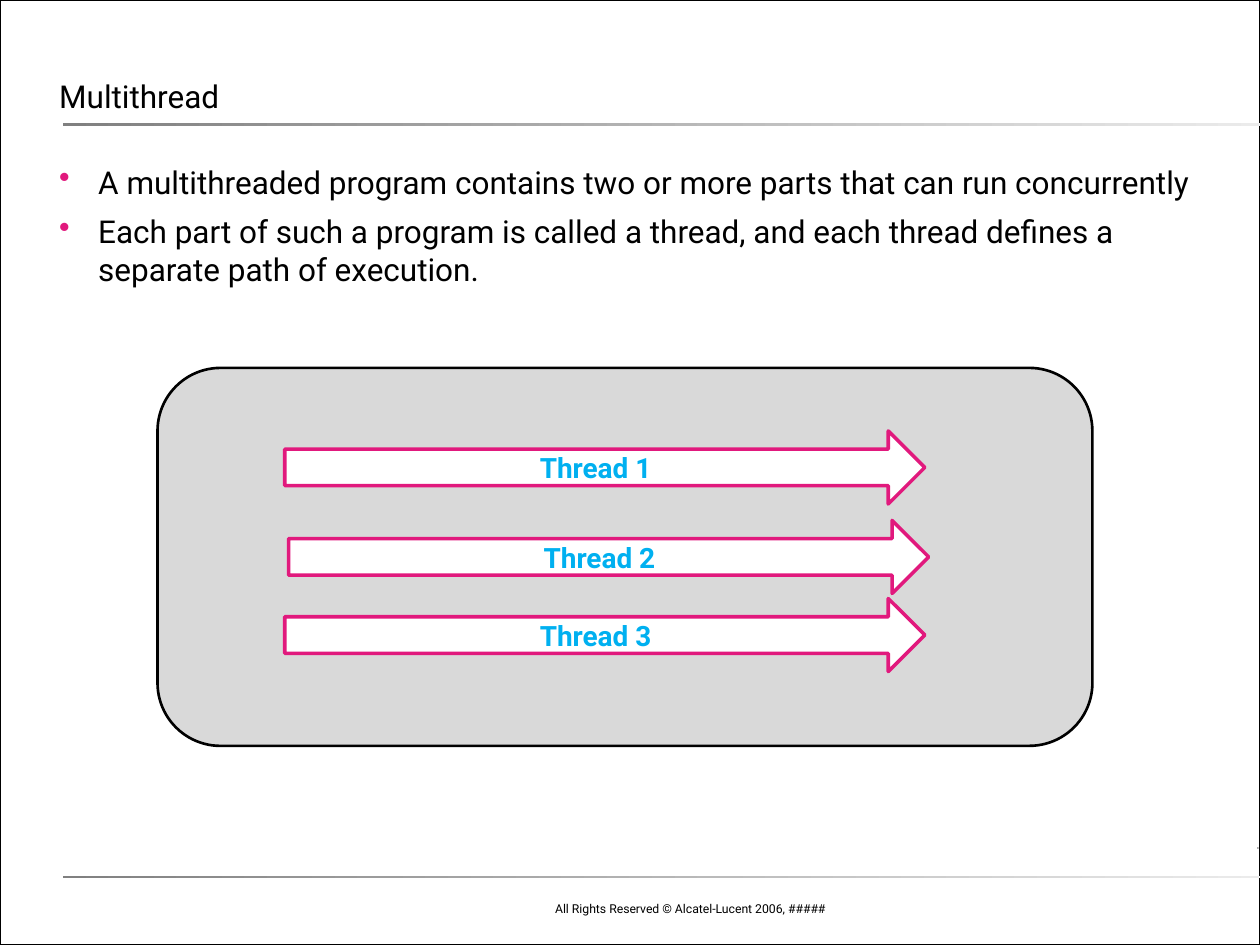
from lxml.etree import SubElement
from pptx import Presentation
from pptx.dml.color import RGBColor as RGB
from pptx.enum.shapes import MSO_SHAPE as Shape
from pptx.enum.text import MSO_ANCHOR as Anchor, PP_ALIGN as Align
from pptx.oxml.ns import qn
from pptx.util import Inches, Pt

COLORS = {"black": "000000", "white": "FFFFFF", "gray": "D9D9D9", "pink": "E1197D",
          "blue": "00B0F0", "dark": "808080", "pale": "EBEBEB", "mist": "D7D7D7"}
FONT = "Roboto"
POINTS = [
    "A multithreaded program contains two or more parts that can run concurrently",
    "Each part of such a program is called a thread, and each thread defines a "
    "separate path of execution.",
]
THREADS = [("Thread 1", 2.26, 3.42), ("Thread 2", 2.29, 4.13), ("Thread 3", 2.26, 4.75)]


def color(name):
    """Return the named colour."""
    return RGB.from_string(COLORS[name])


def style(par, size, tint="black", bold=False):
    """Set the font of a paragraph."""
    font = par.font
    font.name, font.size, font.bold = FONT, Pt(size), bold
    font.color.rgb = color(tint)


def add_shape(slide, kind, box, fill=None, line=None, width=1):
    """Add a flat shape with an optional fill and outline."""
    shape = slide.shapes.add_shape(kind, *map(Inches, box))
    shape.shadow.inherit = False
    if fill:
        shape.fill.solid()
        shape.fill.fore_color.rgb = color(fill)
    else:
        shape.fill.background()
    if line:
        shape.line.color.rgb = color(line)
        shape.line.width = Pt(width)
    else:
        shape.line.fill.background()
    return shape


def add_rule(slide, box, end="pale"):
    """Add a thin bar that fades from left to right."""
    fill = add_shape(slide, Shape.RECTANGLE, box).fill
    fill.gradient()
    fill.gradient_angle = 0
    for stop, name, place in zip(fill.gradient_stops, ("dark", end), (0, 1)):
        stop.color.rgb = color(name)
        stop.position = place


def set_frame(frame, anchor, wrap=True, inset=0):
    """Set the anchor, wrapping and insets of a text frame."""
    frame.word_wrap, frame.vertical_anchor = wrap, anchor
    frame.margin_left = frame.margin_right = Inches(inset)
    frame.margin_top = frame.margin_bottom = Inches(inset / 2)


def add_text(slide, box, lines, size, anchor=Anchor.TOP, inset=0):
    """Add a text box and return its paragraphs."""
    frame = slide.shapes.add_textbox(*map(Inches, box)).text_frame
    set_frame(frame, anchor, inset=inset)
    frame.text = "\n".join(lines)
    for par in frame.paragraphs:
        style(par, size)
    return frame.paragraphs


def add_bullet(par):
    """Give a paragraph a pink bullet and a hanging indent."""
    props = par._p.get_or_add_pPr()
    props.set("marL", str(Inches(0.31)))
    props.set("indent", str(-Inches(0.31)))
    tint = SubElement(props, qn("a:buClr"))
    SubElement(tint, qn("a:srgbClr"), val=COLORS["pink"])
    SubElement(props, qn("a:buChar"), char="•")


def add_list(slide, box, lines, size):
    """Add a bulleted list."""
    frame = slide.shapes.add_textbox(*map(Inches, box)).text_frame
    set_frame(frame, Anchor.TOP)
    frame.text = "\n".join(lines)
    for i, par in enumerate(frame.paragraphs):
        if i:
            par.space_before = Pt(6.8)
        add_bullet(par)
        style(par, size)


def add_thread(slide, label, left, top):
    """Add a labelled thread arrow."""
    box = (left, top, 5.08, 0.58)
    arrow = add_shape(slide, Shape.RIGHT_ARROW, box, "white", "pink", 2)
    frame = arrow.text_frame
    set_frame(frame, Anchor.MIDDLE, wrap=False)
    frame.text = label
    par = frame.paragraphs[0]
    par.alignment = Align.CENTER
    style(par, 16, "blue", True)


def main():
    """Build and save the slide."""
    deck = Presentation()
    deck.slide_width, deck.slide_height = Inches(10), Inches(7.5)
    slide = deck.slides.add_slide(deck.slide_layouts[6])

    add_rule(slide, (9.98, 6.72, 0.01, 0.02), "mist")
    add_shape(slide, Shape.RECTANGLE, (0, 0, 10, 7.5), line="black")
    note = add_text(slide, (3.5, 7.07, 3.15, 0.25),
                    ["All Rights Reserved © Alcatel-Lucent 2006, #####"],
                    7, Anchor.BOTTOM, 0.1)
    note[0].alignment = Align.RIGHT
    for top in (6.95, 0.98):
        add_rule(slide, (0.5, top, 9.53, 0.02))

    title = add_text(slide, (0.47, 0.08, 9.06, 0.83), ["Multithread"], 18, Anchor.BOTTOM)
    title[0].line_spacing = 1.2
    add_list(slide, (0.47, 1.29, 9.06, 4.95), POINTS, 18)

    add_shape(slide, Shape.ROUNDED_RECTANGLE, (1.25, 2.92, 7.42, 3), "gray", "black", 1.5)
    for thread in THREADS:
        add_thread(slide, *thread)
    deck.save("out.pptx")


if __name__ == "__main__":
    main()
